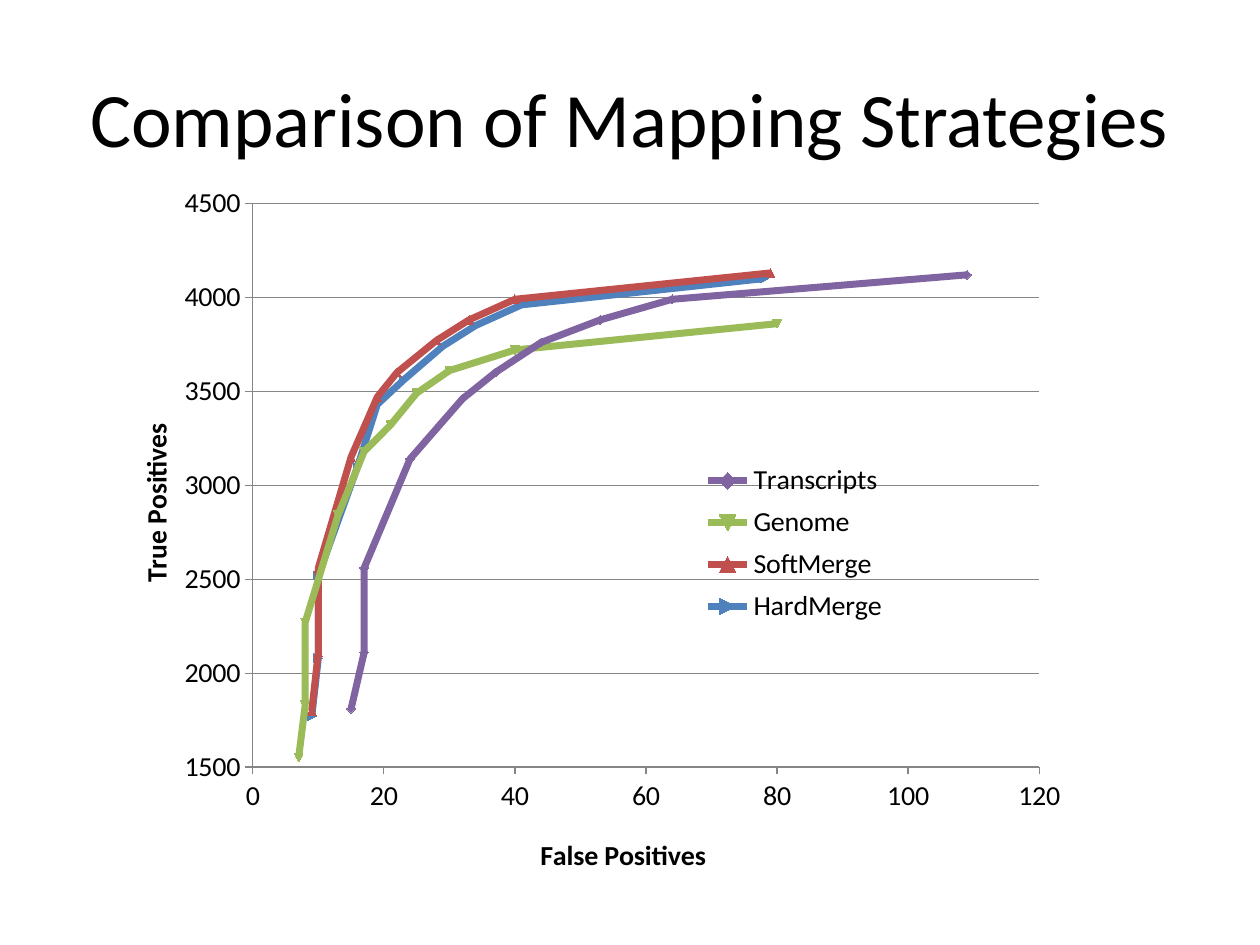
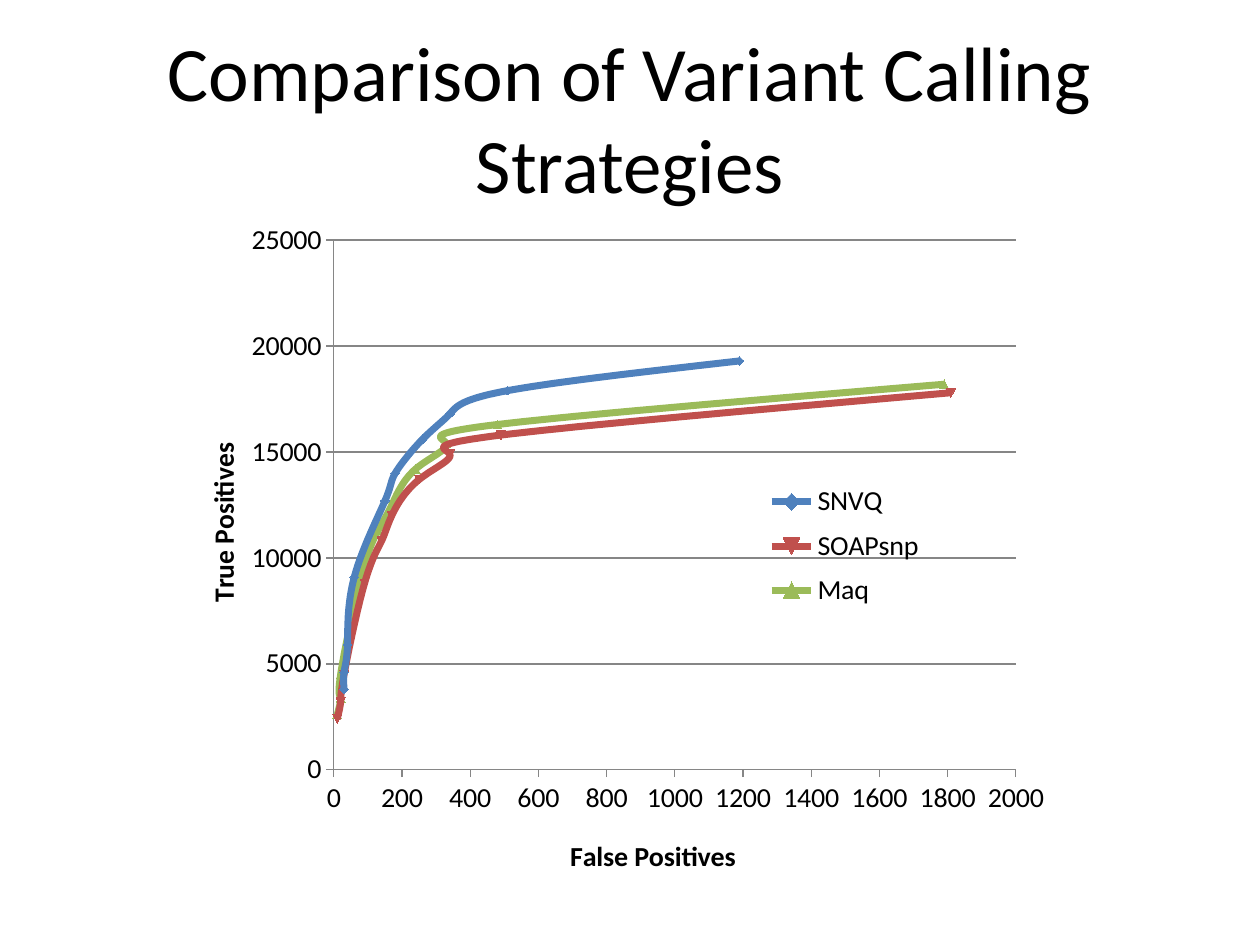
from lxml.etree import SubElement
from pptx import Presentation
from pptx.chart.data import XyChartData
from pptx.dml.color import RGBColor
from pptx.enum.chart import XL_CHART_TYPE, XL_LEGEND_POSITION, XL_TICK_MARK
from pptx.enum.text import MSO_ANCHOR, PP_ALIGN
from pptx.oxml.ns import qn
from pptx.util import Cm, Pt

FONT = "Calibri"
BLACK = RGBColor(0x00, 0x00, 0x00)
GRAY = RGBColor(0x86, 0x86, 0x86)
PURPLE = RGBColor(0x80, 0x64, 0xA2)
GREEN = RGBColor(0x9B, 0xBB, 0x59)
RED = RGBColor(0xC0, 0x50, 0x4D)
BLUE = RGBColor(0x4F, 0x81, 0xBD)

X_TITLE, Y_TITLE = "False Positives", "True Positives"
TITLE_BOX = (1.27, 0.76, 22.86, 3.18)

# Boxes are in cm; places inside a chart are fractions of its size.
# Each series is (name, colour, false positives, true positives).
SLIDES = [
    {
        "title": "Comparison of Mapping Strategies",
        "box": (2.34, 3.38, 20.12, 14.4),
        "smooth": False,
        "x_scale": (0, 120, 20),
        "y_scale": (1500, 4500, 500),
        "plot": (0.137, 0.051, 0.788, 0.802),
        "legend": (0.57, 0.41, 0.22, 0.25),
        "x_title": (0.42, 0.945),
        "y_title": (0.016, 0.36),
        "series": [
            ("Transcripts", PURPLE,
             [109, 64, 53, 44, 37, 32, 24, 17, 17, 15],
             [4120, 3990, 3880, 3760, 3600, 3460, 3140, 2560, 2110, 1810]),
            ("Genome", GREEN,
             [80, 40, 30, 25, 21, 17, 13, 8, 8, 7],
             [3860, 3720, 3610, 3490, 3320, 3180, 2840, 2270, 1830, 1550]),
            ("SoftMerge", RED,
             [79, 40, 33, 28, 22, 19, 15, 10, 10, 9],
             [4130, 3990, 3880, 3770, 3600, 3470, 3150, 2560, 2110, 1800]),
            ("HardMerge", BLUE,
             [78, 41, 34, 29, 23, 19, 16, 10, 10, 9],
             [4100, 3960, 3850, 3740, 3560, 3430, 3100, 2520, 2080, 1770]),
        ],
    },
    {
        "title": "Comparison of Variant Calling Strategies",
        "box": (3.38, 4.45, 18.21, 13.34),
        "smooth": True,
        "x_scale": (0, 2000, 200),
        "y_scale": (0, 25000, 5000),
        "plot": (0.184, 0.03, 0.755, 0.814),
        "legend": (0.64, 0.39, 0.22, 0.22),
        "x_title": (0.44, 0.94),
        "y_title": (0.035, 0.338),
        "series": [
            ("SNVQ", BLUE,
             [1190, 510, 340, 260, 180, 150, 60, 40, 30, 30],
             [19300, 17900, 16800, 15600, 14000, 12700, 9100, 5900, 4600, 3800]),
            ("SOAPsnp", RED,
             [1810, 490, 340, 250, 170, 140, 90, 30, 20, 10],
             [17800, 15800, 14900, 13700, 12000, 10800, 8800, 4500, 3200, 2400]),
            ("Maq", GREEN,
             [1790, 480, 330, 240, 170, 130, 80, 20, 20, 10],
             [18200, 16300, 15400, 14200, 12500, 11300, 9100, 4500, 3400, 2600]),
        ],
    },
]


def set_font(font, size, bold=False):
    font.name, font.size, font.bold = FONT, Pt(size), bold
    font.color.rgb = BLACK


def write_text(frame, text, size=16, bold=False, align=PP_ALIGN.CENTER):
    frame.text = text
    paragraph = frame.paragraphs[0]
    paragraph.alignment = align
    set_font(paragraph.runs[0].font, size, bold)


def place(part, index, fractions, inner=False):
    """Give a chart part a manual layout of x, y and, optionally, w, h."""
    layout = part.find(qn("c:layout"))
    if layout is None:
        layout = SubElement(part, qn("c:layout"))
        part.insert(index, layout)
    manual = SubElement(layout, qn("c:manualLayout"))
    if inner:
        SubElement(manual, qn("c:layoutTarget")).set("val", "inner")
    for mode in ("xMode", "yMode"):
        SubElement(manual, qn(f"c:{mode}")).set("val", "edge")
    for name, fraction in zip("xywh", fractions):
        SubElement(manual, qn(f"c:{name}")).set("val", str(fraction))


def format_axis(axis, title, position, scale, gridlines=False, turned=False):
    axis.minimum_scale, axis.maximum_scale, axis.major_unit = scale
    axis.major_tick_mark = XL_TICK_MARK.OUTSIDE
    axis.minor_tick_mark = XL_TICK_MARK.NONE
    axis.has_major_gridlines = gridlines
    lines = [axis.format.line]
    if gridlines:
        lines.append(axis.major_gridlines.format.line)
    for line in lines:
        line.color.rgb, line.width = GRAY, Pt(0.75)
    set_font(axis.tick_labels.font, 16)
    axis.tick_labels.number_format = "0"
    axis.tick_labels.number_format_is_linked = False
    frame = axis.axis_title.text_frame
    write_text(frame, title, bold=True)
    if turned:
        body = frame._txBody.find(qn("a:bodyPr"))
        body.set("rot", "-5400000")
        body.set("vert", "horz")
    place(axis.axis_title._element, 1, position)


def format_series(series, number, color, smooth):
    # Automatic markers follow the index: diamond, down, up, right from 1.
    series._element.idx.val = number
    series._element.get_or_add_smooth().val = smooth
    series.format.line.color.rgb = color
    series.format.line.width = Pt(4)
    marker = series.marker
    marker.size = 5
    marker.format.fill.solid()
    marker.format.fill.fore_color.rgb = color
    marker.format.line.color.rgb = color


def add_curves(slide, content):
    data = XyChartData(number_format="0")
    for name, _, false_positives, true_positives in content["series"]:
        curve = data.add_series(name)
        for x, y in zip(false_positives, true_positives):
            curve.add_data_point(x, y)
    kind = (XL_CHART_TYPE.XY_SCATTER_SMOOTH if content["smooth"]
            else XL_CHART_TYPE.XY_SCATTER_LINES)
    chart = slide.shapes.add_chart(kind, *map(Cm, content["box"]), data).chart
    chart.has_title = False
    set_font(chart.font, 10)

    plot = chart.plots[0]
    plot.vary_by_categories = False
    for number, (series, (_, color, *_)) in enumerate(
            zip(plot.series, content["series"]), start=1):
        format_series(series, number, color, content["smooth"])

    format_axis(chart.category_axis, X_TITLE, content["x_title"], content["x_scale"])
    format_axis(chart.value_axis, Y_TITLE, content["y_title"], content["y_scale"],
                gridlines=True, turned=True)

    chart.has_legend = True
    legend = chart.legend
    legend.position = XL_LEGEND_POSITION.RIGHT
    legend.include_in_layout = False
    set_font(legend.font, 16)
    place(legend._element, 1, content["legend"])
    place(chart._chartSpace.chart.plotArea, 0, content["plot"], inner=True)


def add_title(slide, text):
    title = slide.shapes.title
    title.left, title.top, title.width, title.height = map(Cm, TITLE_BOX)
    title.text_frame.vertical_anchor = MSO_ANCHOR.MIDDLE
    write_text(title.text_frame, text, size=44)


def main():
    deck = Presentation()
    deck.slide_width, deck.slide_height = Cm(25.4), Cm(19.05)
    title_only = deck.slide_layouts[5]
    for content in SLIDES:
        slide = deck.slides.add_slide(title_only)
        add_title(slide, content["title"])
        add_curves(slide, content)
    deck.save("out.pptx")


if __name__ == "__main__":
    main()
